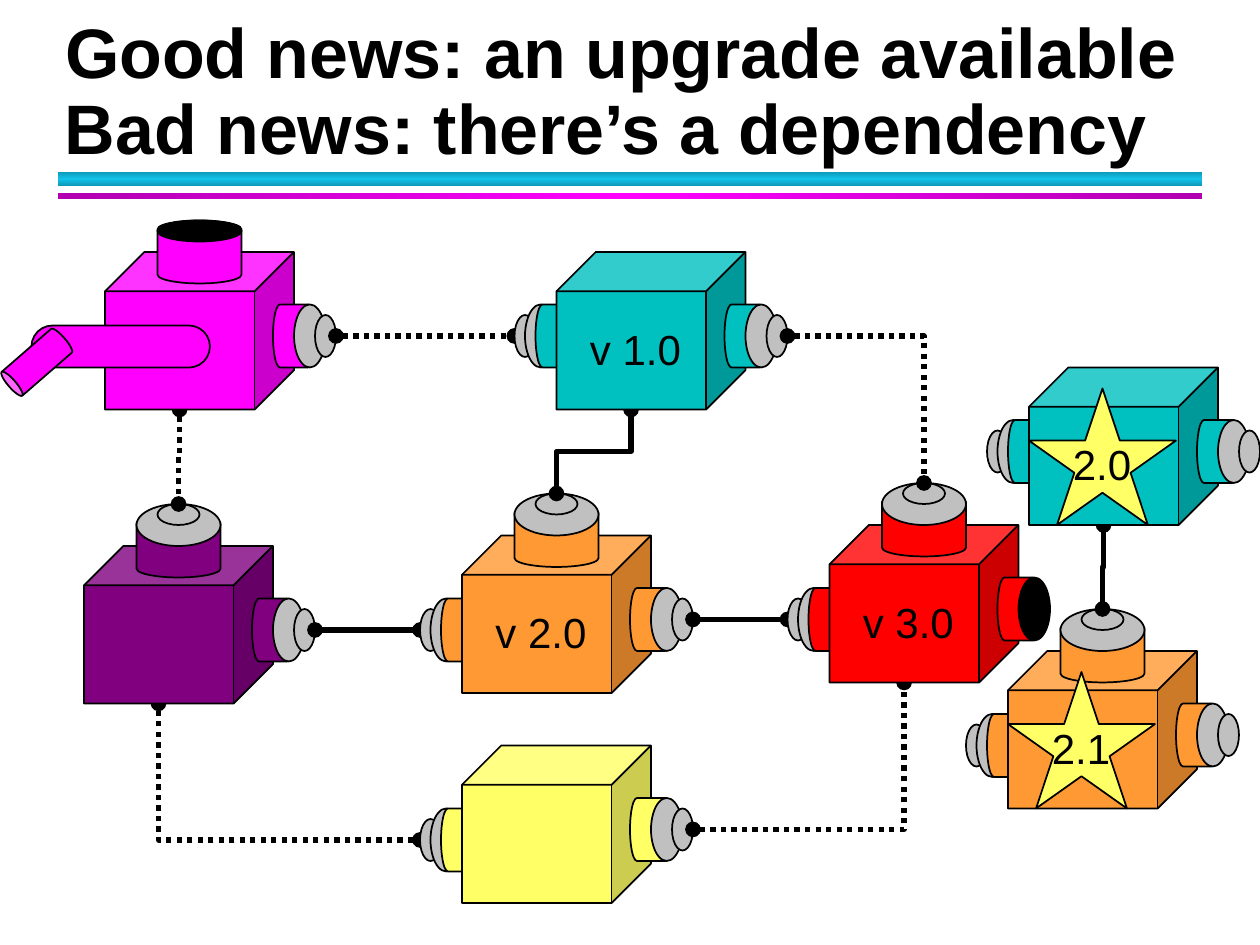
from dataclasses import dataclass
from typing import Any, Optional

import pptx
import pptx.dml.color
import pptx.enum.dml
import pptx.enum.shapes
import pptx.enum.text
import pptx.oxml
import pptx.oxml.ns
import pptx.util

SHAPE = pptx.enum.shapes.MSO_SHAPE
CONNECTOR = pptx.enum.shapes.MSO_CONNECTOR
ANCHOR = pptx.enum.text.MSO_ANCHOR
COLUMNS, ROWS = 120, 90
BLACK, GREY, YELLOW = "000000", "C0C0C0", "FFFF66"
PURPLE, MAGENTA, ORANGE = "800080", "FF00FF", "FF9933"
RED, TEAL = "FF0000", "00C0C0"

deck = pptx.Presentation()
deck.slide_width = pptx.util.Inches(10)
deck.slide_height = pptx.util.Inches(7.5)
slide = deck.slides.add_slide(deck.slide_layouts[5])


@dataclass(frozen=True)
class Module:
    """A cube with sockets; positions are grid columns and rows."""
    col: float
    row: float
    colour: str
    left_row: Optional[float] = None
    has_top: bool = False
    top_open: bool = False
    has_right: bool = True
    right_open: bool = False
    has_spout: bool = False
    label: str = ""
    starred: bool = False


@dataclass(frozen=True)
class Link:
    """A cable that runs across and then down or up, or in a vertical zigzag."""
    start: tuple[float, float]
    end: tuple[float, float]
    dotted: bool = True
    zigzag: bool = False


def x(col: float) -> int:
    return round(deck.slide_width * col / COLUMNS)


def y(row: float) -> int:
    return round(deck.slide_height * row / ROWS)


def rgb(colour: str) -> pptx.dml.color.RGBColor:
    return pptx.dml.color.RGBColor.from_string(colour)


def assign(target: Any, values: dict[str, Any]) -> None:
    for name, value in values.items():
        setattr(target, name, value)


def write(holder: Any, wording: str, size: float, bold: bool, **frame_format: Any) -> None:
    frame = holder.text_frame
    frame.text = wording
    assign(frame, {"auto_size": pptx.enum.text.MSO_AUTO_SIZE.NONE, **frame_format})
    paragraph = frame.paragraphs[0]
    assign(paragraph, {"alignment": pptx.enum.text.PP_ALIGN.LEFT,
                       "line_spacing": 1.0, "space_before": pptx.util.Pt(0)})
    assign(paragraph.font, {"name": "Arial", "size": pptx.util.Pt(size), "bold": bold})
    paragraph.font.color.rgb = rgb(BLACK)


def text_at(col: float, row: float, width: float, height: float,
            wording: str, size: float, bold: bool = False) -> None:
    box = slide.shapes.add_textbox(x(col), y(row), x(width), y(height))
    write(box, wording, size, bold, word_wrap=False, vertical_anchor=ANCHOR.BOTTOM)


def part(kind: Any, col: float, row: float, width: float, height: float,
         colour: str, adjustment: Optional[float] = None, rotation: float = 0) -> None:
    piece = slide.shapes.add_shape(kind, x(col), y(row), x(width), y(height))
    piece.shadow.inherit = False
    piece.rotation = rotation
    piece.fill.solid()
    piece.fill.fore_color.rgb = rgb(colour)
    piece.line.color.rgb = rgb(BLACK)
    piece.line.width = pptx.util.Pt(1)
    if adjustment is not None:
        piece.adjustments[0] = adjustment


def draw_band(row: float, height: float, edge: str, middle: str, angle: int) -> None:
    band = slide.shapes.add_shape(SHAPE.RECTANGLE, x(5.5), y(row), x(109), y(height))
    band.shadow.inherit = False
    band.line.fill.background()
    stops = "".join(f'<a:gs pos="{pos}"><a:srgbClr val="{colour}"/></a:gs>'
                    for pos, colour in ((0, edge), (50000, middle), (100000, edge)))
    gradient = pptx.oxml.parse_xml(
        f'<a:gradFill {pptx.oxml.ns.nsdecls("a")}><a:gsLst>{stops}</a:gsLst>'
        f'<a:lin ang="{angle * 60000}" scaled="0"/></a:gradFill>')
    band._element.spPr.find(pptx.oxml.ns.qn("a:prstGeom")).addnext(gradient)


def draw_module(module: Module) -> None:
    col, row, colour = module.col, module.row, module.colour
    if module.left_row is not None:
        left = row + module.left_row
        part(SHAPE.OVAL, col - 4, left + 1, 2, 4, GREY)
        part(SHAPE.OVAL, col - 3, left, 3, 6, GREY)
        part(SHAPE.FLOWCHART_DIRECT_ACCESS_STORAGE, col - 2, left, 4, 6, colour)
    part(SHAPE.CUBE, col, row, 18, 15, colour, 0.25)
    if module.has_spout:
        part(SHAPE.ROUNDED_RECTANGLE, col - 7, row + 7, 17, 4, colour, 0.5)
        part(SHAPE.CAN, col - 8, row + 7, 3, 7, colour, 0.25, 229)
    if module.has_top:
        part(SHAPE.CAN, col + 5, row - 3, 8, 6, colour, 0.28)
        if module.top_open:
            part(SHAPE.OVAL, col + 5, row - 3, 8, 2, BLACK)
        else:
            part(SHAPE.OVAL, col + 5, row - 4, 8, 4, GREY)
            part(SHAPE.OVAL, col + 7, row - 4, 4, 2, GREY)
    if module.has_right:
        part(SHAPE.FLOWCHART_DIRECT_ACCESS_STORAGE, col + 16, row + 5, 4, 6, colour)
        part(SHAPE.OVAL, col + 18, row + 5, 3, 6, BLACK if module.right_open else GREY)
        if not module.right_open:
            part(SHAPE.OVAL, col + 20, row + 6, 2, 4, GREY)
    if module.starred:
        part(SHAPE.STAR_5_POINT, col, row + 2, 14, 13, YELLOW)
    if module.label:
        text_at(col + (3 if module.starred else 2), row + 6.2,
                8 if module.starred else 11, 6, module.label, 24)


def draw_link(link: Link) -> None:
    start_x, start_y = x(link.start[0]), y(link.start[1])
    end_x, end_y = x(link.end[0]), y(link.end[1])
    if link.zigzag:
        # Quarter turn about the centre: width and height change places.
        middle_x, middle_y = (start_x + end_x) // 2, (start_y + end_y) // 2
        half_run, half_shift = (end_y - start_y) // 2, (start_x - end_x) // 2
        start_x, end_x = middle_x - half_run, middle_x + half_run
        start_y, end_y = middle_y - half_shift, middle_y + half_shift
    cable = slide.shapes.add_connector(CONNECTOR.ELBOW, start_x, start_y, end_x, end_y)
    properties = cable._element.spPr
    if link.zigzag:
        properties.find(pptx.oxml.ns.qn("a:xfrm")).set("rot", str(90 * 60000))
    else:
        properties.find(pptx.oxml.ns.qn("a:prstGeom")).set("prst", "bentConnector2")
    cable.line.color.rgb = rgb(BLACK)
    cable.line.width = pptx.util.Pt(3)
    if link.dotted:
        cable.line.dash_style = pptx.enum.dml.MSO_LINE.ROUND_DOT
    outline = cable.line._get_or_add_ln()
    for end in ("headEnd", "tailEnd"):
        outline.append(pptx.oxml.parse_xml(
            f'<a:{end} {pptx.oxml.ns.nsdecls("a")} type="oval"/>'))
    properties.append(pptx.oxml.parse_xml(f'<a:effectLst {pptx.oxml.ns.nsdecls("a")}/>'))


# Back to front: a module drawn after a link covers half of its end dot.
SCENE = [
    Link((40, 80), (15.1, 67)),
    Module(8, 52, PURPLE, has_top=True),
    Link((17.1, 39), (17, 48), zigzag=True),
    Module(44, 71, YELLOW, left_row=6),
    Link((30, 60), (40, 60), dotted=False),
    Module(44, 51, ORANGE, left_row=6, has_top=True, label="v 2.0"),
    Module(10, 24, MAGENTA, has_top=True, top_open=True, has_spout=True),
    Link((32, 32), (49, 32)),
    Link((66, 79), (86.1, 65)),
    Link((60.1, 39), (53, 47), dotted=False, zigzag=True),
    Link((66, 59), (75, 59), dotted=False),
    Module(79, 50, RED, left_row=6, has_top=True, right_open=True, label="v 3.0"),
    Module(53, 24, TEAL, left_row=5, label="v 1.0"),
    Link((75, 32), (88, 46)),
    Module(96, 62, ORANGE, left_row=6, has_top=True, label="2.1", starred=True),
    Link((105.1, 50), (105, 58), dotted=False, zigzag=True),
    Module(98, 35, TEAL, left_row=5, label="2.0", starred=True),
]

draw_band(16.4, 1.3, "0E9AB9", "12C2E9", 90)
draw_band(18.4, 0.6, "B100B1", "FF00FF", 180)
title = slide.shapes.title
assign(title, {"left": x(5), "top": y(0), "width": x(109), "height": y(9.6)})
write(title, "Good news: an upgrade available", 40, True,
      word_wrap=True, vertical_anchor=ANCHOR.MIDDLE)
text_at(5, 7.4, 105.6, 9.2, "Bad news: there’s a dependency", 40, True)
for element in SCENE:
    (draw_link if isinstance(element, Link) else draw_module)(element)
deck.save("out.pptx")
